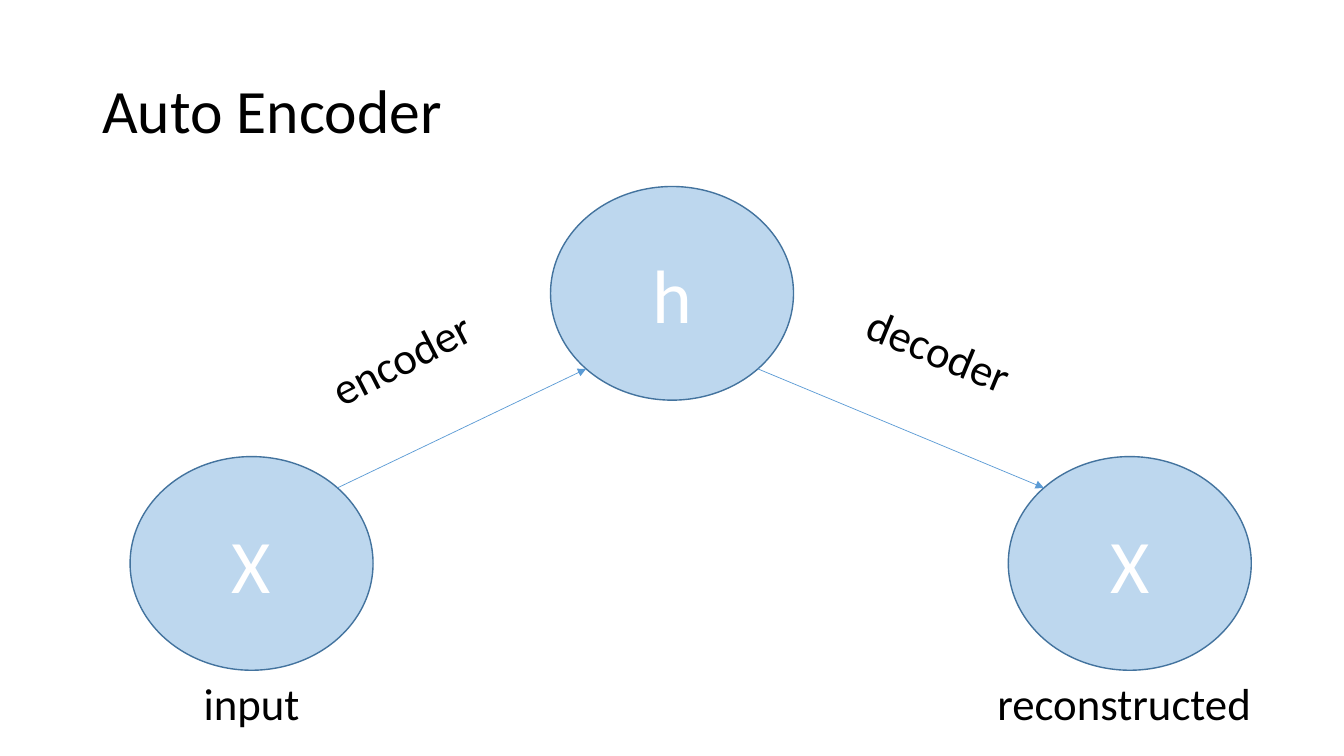
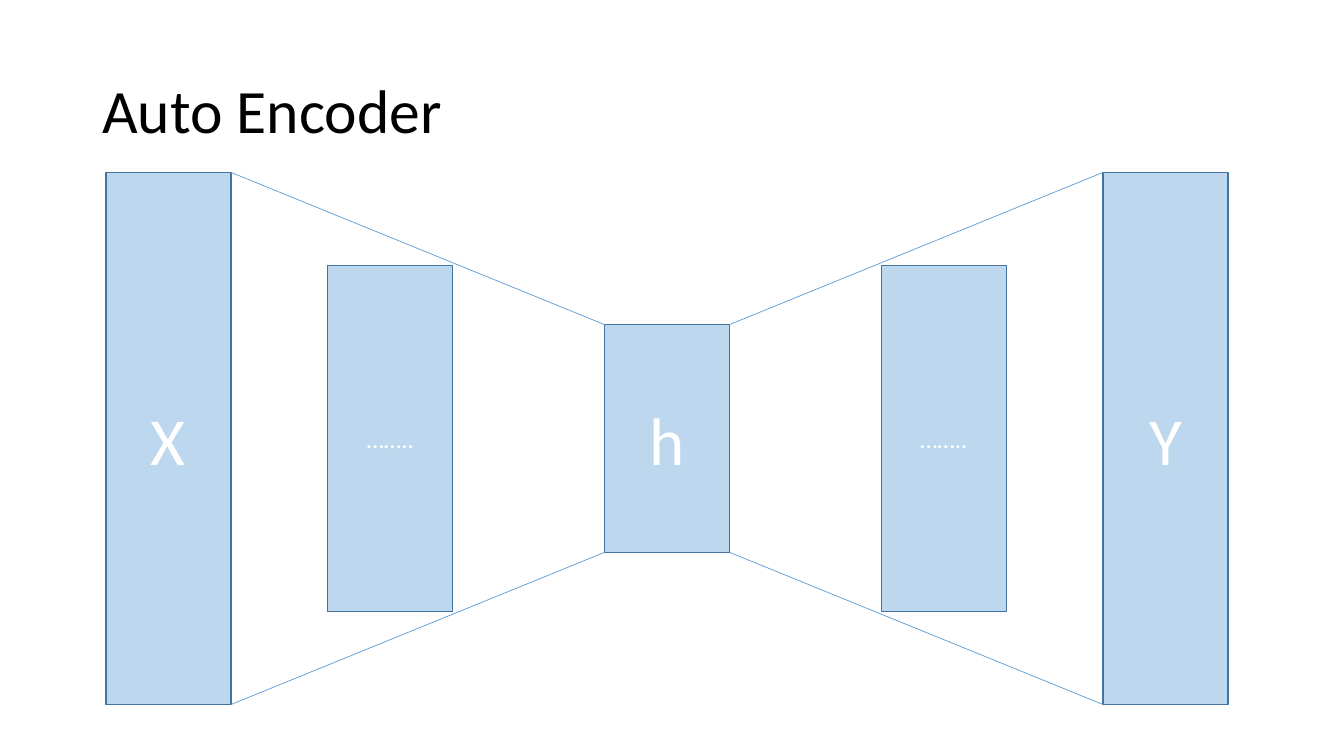
import dataclasses
import math

import lxml.etree
import pptx
import pptx.dml.color
import pptx.enum.shapes
import pptx.enum.text
import pptx.oxml.ns
import pptx.util

SHAPES = pptx.enum.shapes.MSO_SHAPE
ANCHORS = pptx.enum.text.MSO_ANCHOR
ALIGNMENTS = pptx.enum.text.PP_ALIGN

COLOURS = {"text": "000000", "node": "BDD7EE", "outline": "43739E",
           "link": "5B9BD5", "on_node": "FFFFFF"}
FONT = "Calibri"
TITLE = "Auto Encoder"
TITLE_SIZE, LABEL_SIZE, CIRCLE_SIZE, BAR_SIZE, DOTS_SIZE = 44, 32, 54, 48, 18


@dataclasses.dataclass(frozen=True)
class Box:
    """A rectangle in inches whose portions are given in percent of it."""
    left: float
    top: float
    width: float
    height: float

    def portion(self, left, top, width, height):
        """Return the inner box at the given percentages."""
        return Box(self.left + self.width * left / 100,
                   self.top + self.height * top / 100,
                   self.width * width / 100, self.height * height / 100)

    def point(self, across, down):
        """Return the point at the given percentages."""
        return (self.left + self.width * across / 100,
                self.top + self.height * down / 100)

    def lengths(self):
        """Return the four lengths for a python-pptx call."""
        return [pptx.util.Inches(length) for length in dataclasses.astuple(self)]


PAGE = Box(0, 0, 13.33, 7.5)


def colour(name):
    """Return the named palette colour."""
    return pptx.dml.color.RGBColor.from_string(COLOURS[name])


def apply_format(target, values):
    """Set every attribute in values on the target."""
    for name, value in values.items():
        setattr(target, name, value)


def write_text(shape, text, size, colour_name, anchor, alignment, spacing=1.0):
    """Put one formatted line of text into a shape."""
    frame = shape.text_frame
    apply_format(frame, {"word_wrap": True, "vertical_anchor": anchor})
    paragraph = frame.paragraphs[0]
    apply_format(paragraph, {"alignment": alignment, "line_spacing": spacing})
    run = paragraph.add_run()
    run.text = text
    apply_format(run.font, {"name": FONT, "size": pptx.util.Pt(size)})
    run.font.color.rgb = colour(colour_name)


def add_title(slide, box):
    """Place the shared slide title."""
    shape = slide.shapes.add_textbox(*box.lengths())
    write_text(shape, TITLE, TITLE_SIZE, "text", ANCHORS.MIDDLE, ALIGNMENTS.LEFT, 0.9)


def add_label(slide, box, text, rotation=0):
    """Place a centred label, turned by rotation degrees."""
    shape = slide.shapes.add_textbox(*box.lengths())
    shape.rotation = rotation
    write_text(shape, text, LABEL_SIZE, "text", ANCHORS.TOP, ALIGNMENTS.CENTER)


def add_node(slide, kind, box, text, size):
    """Place a filled network node with centred text."""
    shape = slide.shapes.add_shape(kind, *box.lengths())
    shape.shadow.inherit = False
    shape.fill.solid()
    shape.fill.fore_color.rgb = colour("node")
    shape.line.color.rgb = colour("outline")
    shape.line.width = pptx.util.Pt(1)
    write_text(shape, text, size, "on_node", ANCHORS.MIDDLE, ALIGNMENTS.CENTER)


def add_link(slide, start, end, arrow=False):
    """Draw a thin line between two points, with an optional arrowhead."""
    ends = [pptx.util.Inches(length) for length in (*start, *end)]
    link = slide.shapes.add_connector(pptx.enum.shapes.MSO_CONNECTOR.STRAIGHT, *ends)
    link.line.color.rgb = colour("link")
    link.line.width = pptx.util.Pt(0.5)
    properties = link.element.spPr
    if arrow:
        head = lxml.etree.SubElement(properties.get_or_add_ln(),
                                     pptx.oxml.ns.qn("a:tailEnd"))
        head.set("type", "triangle")
    lxml.etree.SubElement(properties, pptx.oxml.ns.qn("a:effectLst"))


def add_circle_diagram(slide, box):
    """Place the input, hidden and reconstructed circles with their arrows."""
    width, height = 21.67, 38.97
    low = 49.26
    hidden = box.portion(37.5, 0, width, height)
    source = box.portion(0, low, width, height)
    result = box.portion(100 - width, low, width, height)
    for circle, text in ((hidden, "h"), (source, "X"), (result, "X")):
        add_node(slide, SHAPES.OVAL, circle, text, CIRCLE_SIZE)

    near = 50 - 50 * math.sqrt(0.5)
    far = 100 - near
    add_link(slide, source.point(far, near), hidden.point(near, far), arrow=True)
    add_link(slide, hidden.point(far, far), result.point(near, near), arrow=True)

    for left, top, label_width, text, rotation in (
            (0, 88.24, width, "input", 0),
            (75.72, 88.24, 25.9, "reconstructed", 0),
            (61.33, 23.9, width, "decoder", 22.4),
            (13.31, 25.37, width, "encoder", 332.9)):
        add_label(slide, box.portion(left, top, label_width, 11.76), text, rotation)


def add_bar_diagram(slide, box):
    """Place five bars mirrored about the middle one, joined by slanted lines."""
    width = 11.14

    def bar(offset, height):
        """Return a bar centred at an offset from the middle of the box."""
        return box.portion(50 + offset - width / 2, 50 - height / 2, width, height)

    outer, inner = 50 - width / 2, 24.66
    source, hidden, result = bar(-outer, 100), bar(0, 42.8), bar(outer, 100)
    for layer, text in ((source, "X"), (hidden, "h"), (result, "Y")):
        add_node(slide, SHAPES.RECTANGLE, layer, text, BAR_SIZE)
    for first, second in ((source, hidden), (hidden, result)):
        for edge in (0, 100):
            add_link(slide, first.point(100, edge), second.point(0, edge))
    for offset in (-inner, inner):
        add_node(slide, SHAPES.RECTANGLE, bar(offset, 64.96), "……..", DOTS_SIZE)


def main():
    """Build and save the presentation."""
    presentation = pptx.Presentation()
    apply_format(presentation, {"slide_width": pptx.util.Inches(PAGE.width),
                                "slide_height": pptx.util.Inches(PAGE.height)})
    blank = presentation.slide_layouts[6]
    for add_diagram, area in (
            (add_circle_diagram, PAGE.portion(9.68, 24.67, 83.42, 72.53)),
            (add_bar_diagram, PAGE.portion(7.88, 22.8, 83.5, 70.4))):
        slide = presentation.slides.add_slide(blank)
        add_title(slide, PAGE.portion(6.88, 5.33, 86.25, 19.33))
        add_diagram(slide, area)
    presentation.save("out.pptx")


main()
